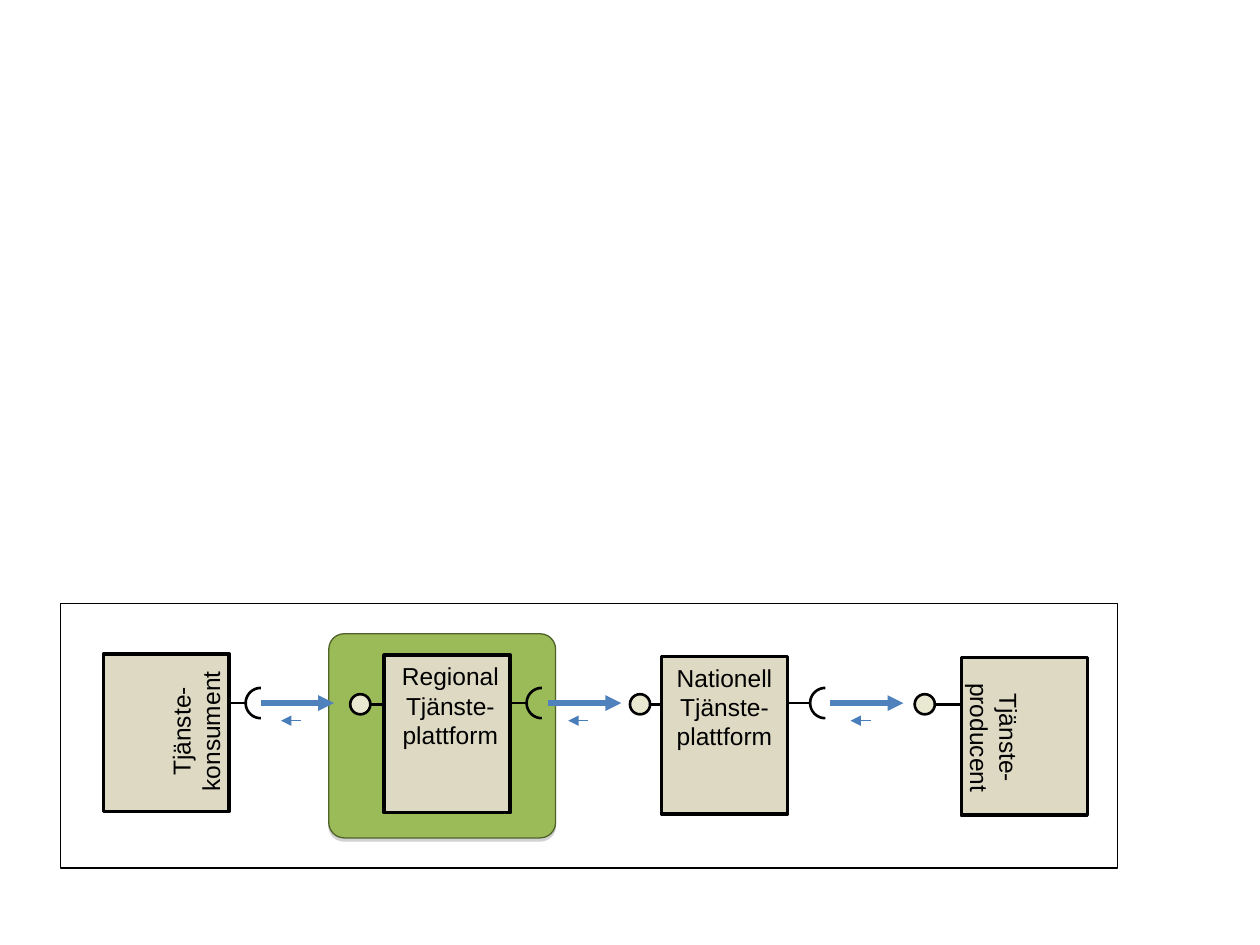
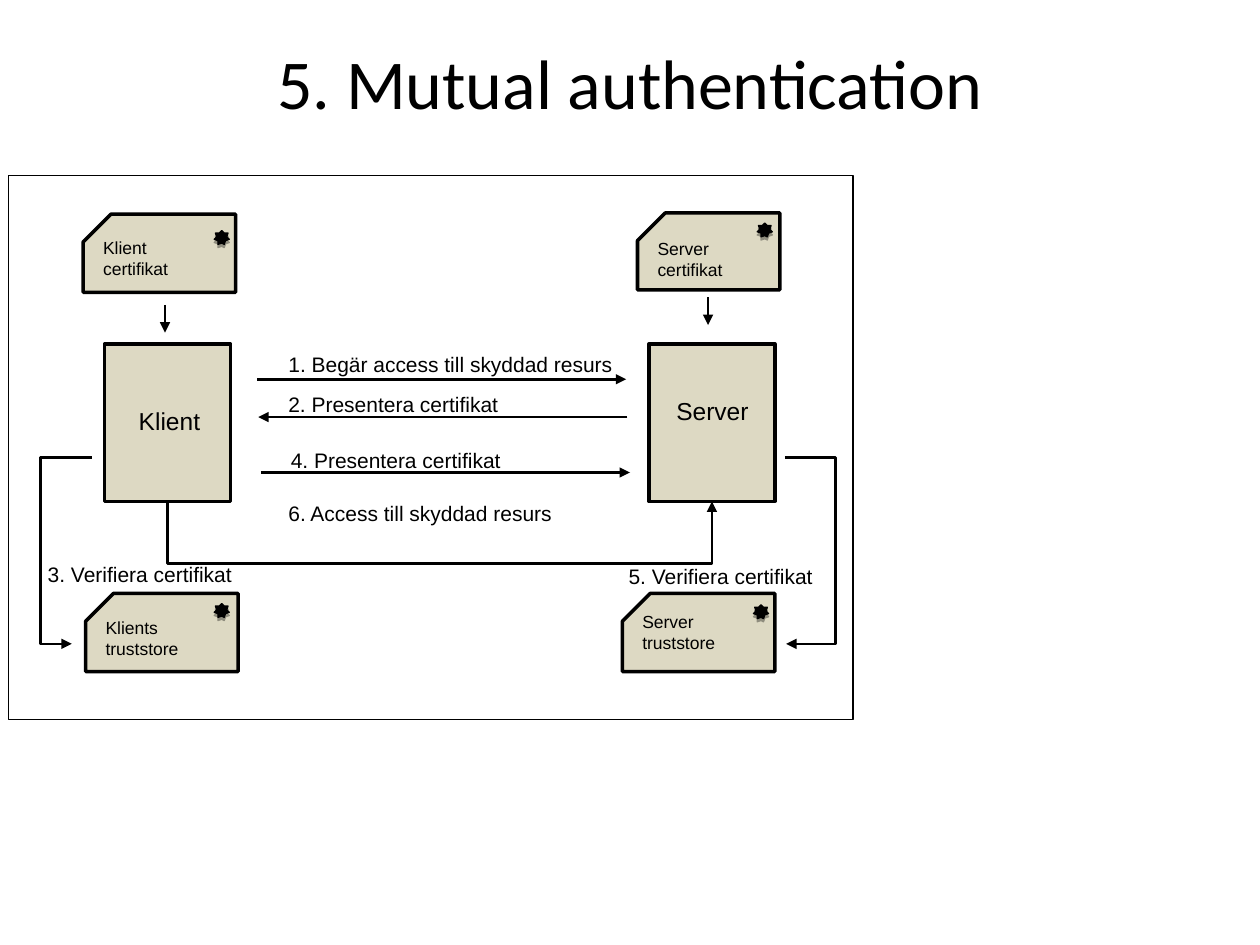
from math import cos, radians, sin

from lxml.etree import SubElement
from pptx import Presentation
from pptx.dml.color import RGBColor
from pptx.enum.shapes import MSO_CONNECTOR, MSO_SHAPE
from pptx.enum.text import MSO_ANCHOR, MSO_AUTO_SIZE, PP_ALIGN
from pptx.oxml.ns import qn
from pptx.util import Pt

SCALE = 9144  # EMU per px, 100 px to the inch
COLORS = {
    "ink": "000000", "sand": "DDD9C3", "ball": "E9E8D0", "green": "9BBB59",
    "moss": "4F6228", "request": "4F81BD", "reply": "4A7EBB", "gray": "808080",
}
NODE_SIZE = (100, 125)

# Slide 1: service chain
CHAIN_FRAME = (48, 479, 839, 210)
REGION = (261, 503, 180, 162)
BALL, BALL_Y, BALL_STEM = 16, 559, 36
SOCKET_RADIUS, SOCKET_Y, SOCKET_STEM = 12, 558, 30
# label, node corner, label box, label rotation, ball left, socket left
CHAIN_NODES = [
    ("Tjänste-\nkonsument", (82, 519), (95, 552, 121, 57), 270, None, 195),
    ("Regional\nTjänste-\nplattform", (305, 520), (306, 520, 103, 80), 0, 278, 418),
    ("Nationell\nTjänste-\nplattform", (525, 521), (524, 521, 102, 80), 0, 500, 643),
    ("Tjänste-\nproducent", (763, 522), (733, 557, 112, 57), 90, 726, None),
]
CALL_STARTS = [207, 435, 659]
CALL_LENGTH = 58
REQUEST_Y, REPLY_Y = 558, 572

# Slide 2: mutual authentication
TITLE = "5. Mutual authentication"
AUTH_FRAME = (7, 139, 670, 432)
PARTIES = [
    ("Server", (515, 273), (524, 309, 83, 34)),
    ("Klient", (83, 273), (97, 317, 75, 34)),
]
CARD_CUT = 22
# label, card box, label top and width, seal corner
CARDS = [
    ("Server certifikat", (506, 169, 113, 61), (184, 79), (601, 177)),
    ("Klient certifikat", (66, 170, 121, 62), (183, 94), (170, 183)),
    ("Klients truststore", (68, 471, 121, 62), (485, 94), (170, 479)),
    ("Server truststore", (494, 471, 121, 62), (480, 94), (598, 480)),
]
SEAL = [(0, 7), (2, 5), (1, 2), (4, 2), (6, 0), (8, 2), (11, 2),
        (10, 5), (12, 7), (9, 8), (8, 11), (6, 10), (3, 11), (3, 8)]
CARD_ARROWS = [((562, 236), (562, 258)), ((131, 242), (131, 264))]
MESSAGE_ARROWS = [((204, 301), (497, 301)), ((498, 331), (205, 331)),
                  ((207, 375), (500, 375))]
STEPS = [
    ("1. Begär access till skyddad resurs", (219, 274, 285, 30)),
    ("2. Presentera certifikat", (219, 306, 194, 30)),
    ("3. Verifiera certifikat", (28, 441, 175, 30)),
    ("4. Presentera certifikat", (221, 350, 194, 30)),
    ("5. Verifiera certifikat", (489, 442, 175, 30)),
    ("6. Access till skyddad resurs", (219, 392, 238, 30)),
]
ROUTES = [
    [(73, 363), (32, 363), (32, 511), (57, 511)],
    [(623, 363), (663, 363), (663, 511), (624, 511)],
    [(133, 398), (133, 447), (565, 447), (565, 398)],
]


def emu(lengths):
    return [round(length * SCALE) for length in lengths]


def rgb(name):
    return RGBColor.from_string(COLORS[name])


def style(shape, fill=None, line="ink", width=2):
    shape.shadow.inherit = False
    if fill:
        shape.fill.solid()
        shape.fill.fore_color.rgb = rgb(fill)
    else:
        shape.fill.background()
    shape.line.color.rgb = rgb(line)
    shape.line.width = Pt(width)
    return shape


def add_preset(page, kind, box, **look):
    return style(page.shapes.add_shape(kind, *emu(box)), **look)


def add_outline(page, points, closed=True, **look):
    start, *others = [emu(point) for point in points]
    builder = page.shapes.build_freeform(*start)
    builder.add_line_segments(others, close=closed)
    return style(builder.convert_to_shape(), **look)


def add_arrowhead(shape):
    SubElement(shape.line._get_or_add_ln(), qn("a:tailEnd"), type="triangle")


def add_line(page, start, end, color="ink", width=1.5, arrow=False):
    line = page.shapes.add_connector(
        MSO_CONNECTOR.STRAIGHT, *emu(start), *emu(end))
    line.line.color.rgb = rgb(color)
    line.line.width = Pt(width)
    if arrow:
        add_arrowhead(line)
    SubElement(line._element.spPr, qn("a:effectLst"))


def add_drop_shadow(shape, color):
    effects = shape._element.spPr.find(qn("a:effectLst"))
    shadow = SubElement(effects, qn("a:outerShdw"), blurRad="0",
                        dist=str(Pt(1.8)), dir="5400000", rotWithShape="0")
    tint = SubElement(shadow, qn("a:srgbClr"), val=COLORS[color])
    SubElement(tint, qn("a:alpha"), val="35000")


def add_text(page, text, box, size, align=PP_ALIGN.LEFT, wrap=False,
             font="Arial", rotation=0, anchor=MSO_ANCHOR.TOP,
             fit=MSO_AUTO_SIZE.SHAPE_TO_FIT_TEXT):
    text_box = page.shapes.add_textbox(*emu(box))
    text_box.rotation = rotation
    frame = text_box.text_frame
    frame.text = text
    frame_format = {"word_wrap": wrap, "auto_size": fit, "vertical_anchor": anchor}
    for name, value in frame_format.items():
        setattr(frame, name, value)
    for para in frame.paragraphs:
        para.alignment = align
        for name, value in {"size": Pt(size), "name": font}.items():
            setattr(para.font, name, value)
        para.font.color.rgb = rgb("ink")


def add_node(page, corner):
    add_preset(page, MSO_SHAPE.RECTANGLE, (*corner, *NODE_SIZE), fill="sand")


def add_ball(page, left):
    right = left + BALL
    add_line(page, (right + BALL_STEM, BALL_Y), (right, BALL_Y))
    add_preset(page, MSO_SHAPE.OVAL, (left, BALL_Y - BALL // 2, BALL, BALL),
               fill="ball", width=1.5)


def add_socket(page, left):
    """Draw a stem and an open half circle made of two quarter arcs."""
    add_line(page, (left, SOCKET_Y), (left - SOCKET_STEM, SOCKET_Y))
    center = left + SOCKET_RADIUS
    for first in (90, 180):
        angles = [radians(angle) for angle in range(first, first + 91, 6)]
        add_outline(page, [(center + SOCKET_RADIUS * cos(angle),
                            SOCKET_Y + SOCKET_RADIUS * sin(angle))
                           for angle in angles], closed=False, width=1.5)


def build_chain(page):
    region = add_preset(page, MSO_SHAPE.ROUNDED_RECTANGLE, REGION,
                        fill="green", line="moss", width=0.75)
    region.adjustments[0] = 0.075
    add_drop_shadow(region, "gray")
    add_preset(page, MSO_SHAPE.RECTANGLE, CHAIN_FRAME, width=0.75)
    for label, corner, label_box, rotation, ball, socket in CHAIN_NODES:
        if ball:
            add_ball(page, ball)
        if socket:
            add_socket(page, socket)
        add_node(page, corner)
        add_text(page, label, label_box, 14, PP_ALIGN.CENTER, rotation=rotation)
    for x in CALL_STARTS:
        add_line(page, (x, REQUEST_Y), (x + CALL_LENGTH, REQUEST_Y),
                 "request", 3, arrow=True)
        add_line(page, (x + 32, REPLY_Y), (x + 16, REPLY_Y),
                 "reply", 0.75, arrow=True)


def add_card(page, label, box, label_place, seal_corner):
    left, top, width, height = box
    right, bottom = left + width, top + height
    add_outline(page, [(right, top), (left + CARD_CUT, top),
                       (left, top + CARD_CUT), (left, bottom),
                       (right, bottom)], fill="sand")
    label_top, label_width = label_place
    add_text(page, label, (left + 6, label_top, label_width, 44), 10, wrap=True)
    seal_x, seal_y = seal_corner
    seal = add_outline(page, [(seal_x + x, seal_y + y) for x, y in SEAL],
                       fill="ink", width=0.75)
    add_drop_shadow(seal, "ink")


def build_authentication(page):
    add_text(page, TITLE, (50, 12, 900, 105), 40, PP_ALIGN.CENTER, wrap=True,
             font="Calibri", anchor=MSO_ANCHOR.MIDDLE, fit=MSO_AUTO_SIZE.NONE)
    add_preset(page, MSO_SHAPE.RECTANGLE, AUTH_FRAME, width=0.75)
    for label, corner, label_box in PARTIES:
        add_node(page, corner)
        add_text(page, label, label_box, 14, PP_ALIGN.CENTER)
    for card in CARDS:
        add_card(page, *card)
    for start, end in CARD_ARROWS:
        add_line(page, start, end, width=0.75, arrow=True)
    for start, end in MESSAGE_ARROWS:
        add_line(page, start, end, arrow=True)
    for points in ROUTES:
        add_arrowhead(add_outline(page, points, closed=False, width=1.5))
    for label, box in STEPS:
        add_text(page, label, box, 12)


def main():
    deck = Presentation()
    deck.slide_width, deck.slide_height = emu((1000, 750))
    for build in (build_chain, build_authentication):
        build(deck.slides.add_slide(deck.slide_layouts[6]))
    deck.save("out.pptx")


if __name__ == "__main__":
    main()
